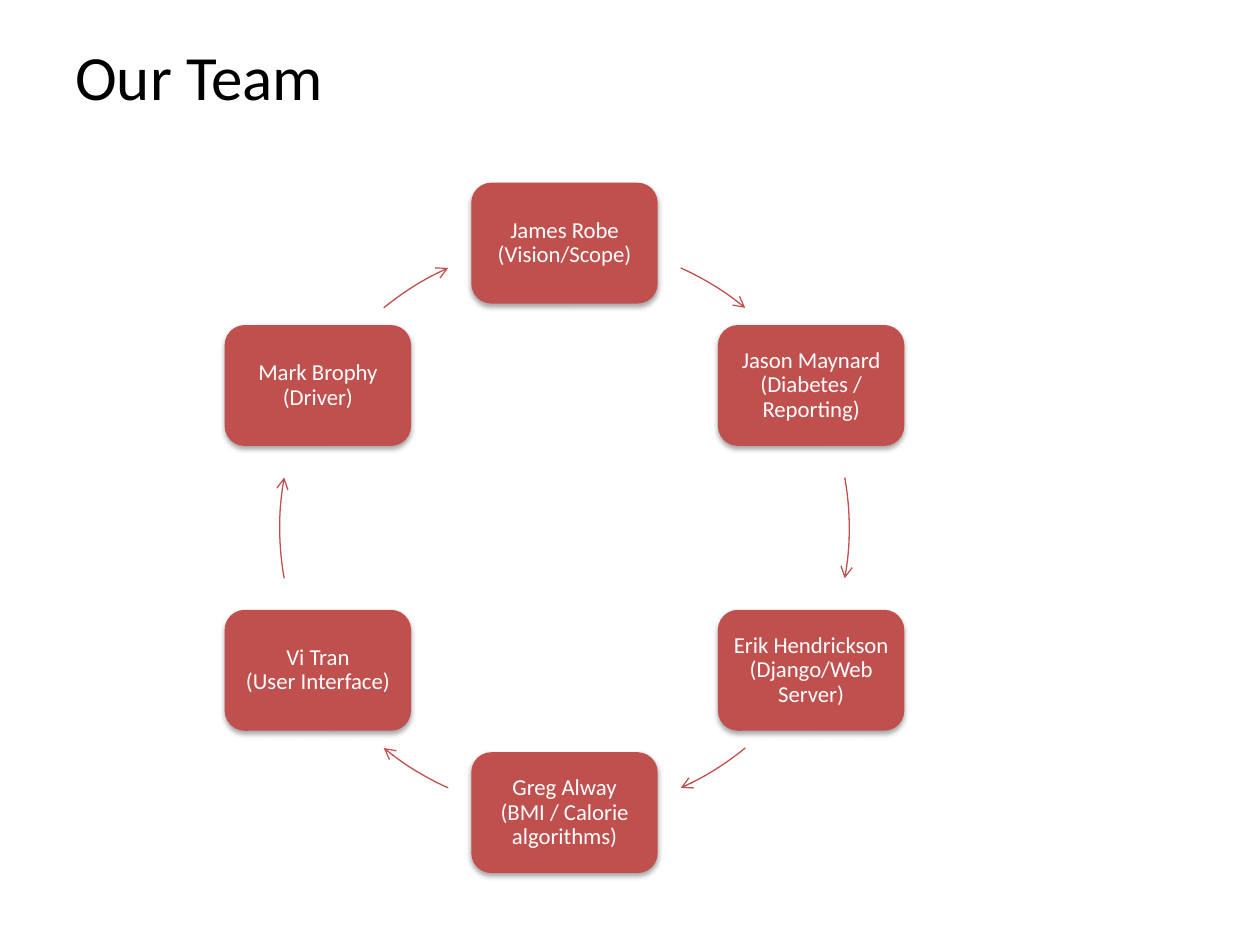
from copy import deepcopy
from math import cos, radians, sin

from lxml.etree import SubElement
from pptx import Presentation
from pptx.dml.color import RGBColor
from pptx.enum.shapes import MSO_SHAPE
from pptx.enum.text import MSO_ANCHOR, PP_ALIGN
from pptx.oxml.ns import qn
from pptx.util import Inches, Pt


def color(value):
    return RGBColor.from_string(value)


def write(tf, text, size, fill, align=PP_ALIGN.LEFT, spacing=1.0, inset=None):
    tf.word_wrap = True
    tf.vertical_anchor = MSO_ANCHOR.MIDDLE
    if inset is not None:
        tf.margin_left = tf.margin_right = Inches(inset)
        tf.margin_top = tf.margin_bottom = Inches(inset)
    p = tf.paragraphs[0]
    p.text = text
    p.alignment = align
    p.line_spacing = spacing
    for r in p.runs:
        r.font.name = "Calibri"
        r.font.size = Pt(size)
        r.font.color.rgb = color(fill)
    # Line breaks take the format of the text around them
    for br in p._p.findall(qn("a:br")):
        br.append(deepcopy(p.runs[0]._r.rPr))


class Deck:
    accent, ink, paper = "C0504D", "000000", "FFFFFF"

    def __init__(self, width, height):
        self.prs = Presentation()
        self.prs.slide_width = Inches(width)
        self.prs.slide_height = Inches(height)
        self.s = self.prs.slides.add_slide(self.prs.slide_layouts[6])

    def title(self, text, x, y, w, h):
        sp = self.s.shapes.add_textbox(Inches(x), Inches(y), Inches(w), Inches(h))
        write(sp.text_frame, text, 36, self.ink)

    def shape(self, kind, cx, cy, w, h):
        sp = self.s.shapes.add_shape(
            kind, Inches(cx - w / 2), Inches(cy - h / 2), Inches(w), Inches(h))
        sp.shadow.inherit = False
        return sp

    def card(self, text, cx, cy, w, h):
        sp = self.shape(MSO_SHAPE.ROUNDED_RECTANGLE, cx, cy, w, h)
        sp.fill.solid()
        sp.fill.fore_color.rgb = color(self.accent)
        sp.line.fill.background()
        effects = sp._element.spPr.find(qn("a:effectLst"))
        shadow = SubElement(effects, qn("a:outerShdw"), blurRad=str(Pt(3.1)),
                            dist=str(Pt(1.8)), dir="5400000", rotWithShape="0")
        black = SubElement(shadow, qn("a:srgbClr"), val=self.ink)
        SubElement(black, qn("a:alpha"), val="35000")
        write(sp.text_frame, text, 13, self.paper, align=PP_ALIGN.CENTER,
              spacing=0.9, inset=0.05)

    def arc_arrow(self, cx, cy, radius, start, end):
        sp = self.shape(MSO_SHAPE.ARC, cx, cy, 2 * radius, 2 * radius)
        # Angles are stored in 60000ths of a degree, adjustments in 100000ths
        for i, angle in enumerate((start, end)):
            sp.adjustments[i] = angle % 360 * 0.6
        sp.fill.background()
        sp.line.color.rgb = color(self.accent)
        sp.line.width = Pt(0.75)
        SubElement(sp.line._get_or_add_ln(), qn("a:tailEnd"), type="arrow")


deck = Deck(10, 7.5)
deck.title("Our Team", 0.5, 0.3, 9, 0.6)

# Members clockwise from the top, each with the arc that leads to the next;
# angles run clockwise from three o'clock
CX, CY, RADIUS = 4.48, 4.19, 2.26
team = [
    ("James Robe\v(Vision/Scope)", -65.9, -50.6),
    ("Jason Maynard\v(Diabetes / Reporting)", -10.2, 10.2),
    ("Erik Hendrickson\v(Django/Web Server)", 50.6, 65.9),
    ("Greg Alway\v(BMI / Calorie algorithms)", 114.1, 129.4),
    ("Vi Tran\v(User Interface)", 169.8, 190.2),
    ("Mark Brophy\v(Driver)", 230.6, 245.9),
]
for i, (member, start, end) in enumerate(team):
    angle = radians(i * 360 / len(team) - 90)
    deck.card(member, CX + RADIUS * cos(angle), CY + RADIUS * sin(angle), 1.48, 0.96)
    deck.arc_arrow(CX, CY, RADIUS, start, end)

deck.prs.save("out.pptx")
